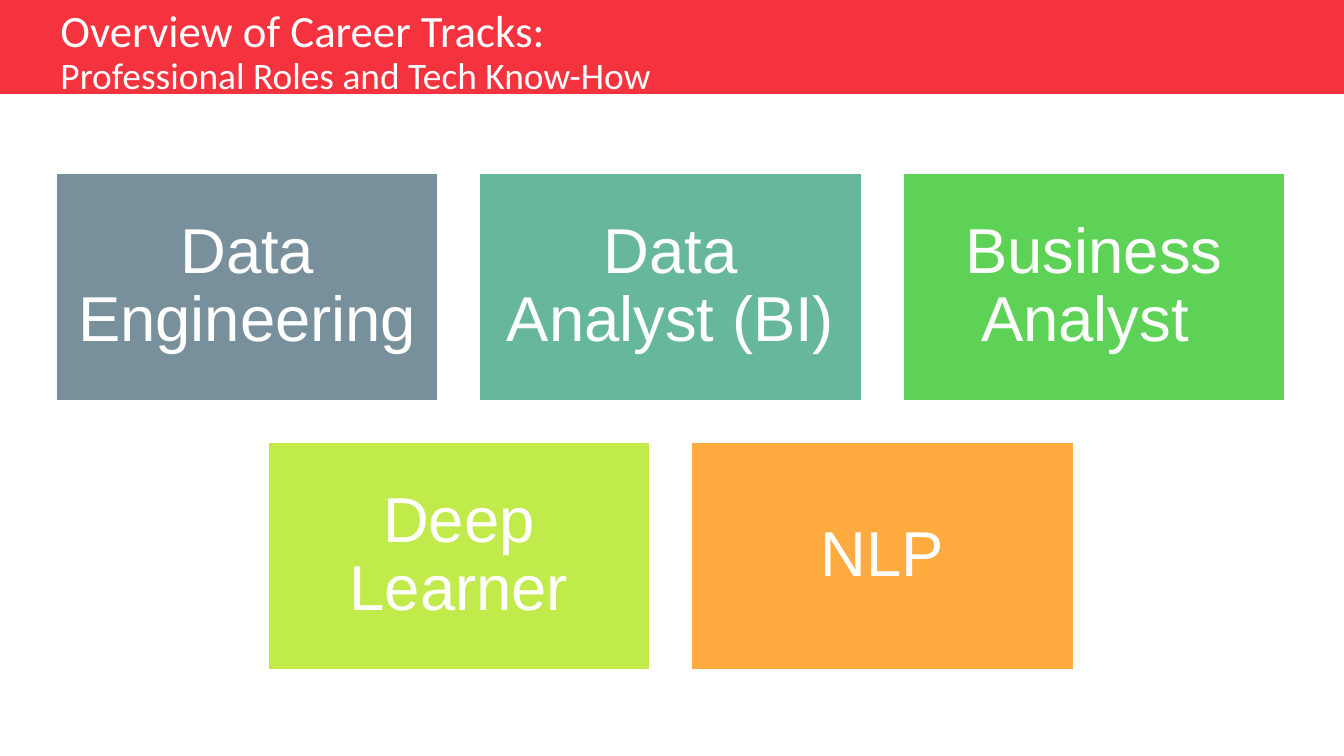
from copy import deepcopy
from dataclasses import dataclass

from pptx import Presentation
from pptx.dml.color import RGBColor
from pptx.enum.shapes import MSO_SHAPE as Shape
from pptx.enum.text import MSO_ANCHOR as Anchor, MSO_AUTO_SIZE as AutoSize, PP_ALIGN as Align
from pptx.oxml.ns import qn
from pptx.util import Inches, Pt

TITLE_ONLY = 5
TITLE_LINES = ("Overview of Career Tracks: ", "Professional Roles and Tech Know-How")


@dataclass(frozen=True)
class Theme:
    band: str = "F5333F"
    light: str = "FFFFFF"
    title_font: str = "Calibri"
    tile_font: str = "Arial"
    title_sizes: tuple = (24, 20)
    tile_sizes: tuple = (34,)
    line_spacing: float = 0.9


@dataclass(frozen=True)
class TileGrid:
    """Rows of equal tiles, each row centred on the same axis (inches)."""
    center: float = 4.99
    top: float = 1.28
    width: float = 2.86
    height: float = 1.71
    gap: float = 0.29

    def box(self, row, column, count):
        row_width = count * self.width + (count - 1) * self.gap
        left = self.center - row_width / 2 + column * (self.width + self.gap)
        top = self.top + row * (self.height + self.gap)
        return left, top, self.width, self.height


TRACK_ROWS = (
    (("Data Engineering", "78909C"), ("Data Analyst (BI)", "67B89B"),
     ("Business Analyst ", "5ED257")),
    (("Deep Learner", "C1EA4B"), ("NLP", "FFAB40")),
)


class SlideBuilder:
    def __init__(self, presentation, theme):
        self.theme = theme
        self.slide = presentation.slides.add_slide(presentation.slide_layouts[TITLE_ONLY])

    def style(self, paragraph, font_name, sizes, alignment):
        """Format a paragraph, with one size for each run."""
        paragraph.alignment = alignment
        paragraph.line_spacing = self.theme.line_spacing
        for run, size in zip(paragraph.runs, sizes):
            run.font.name = font_name
            run.font.size = Pt(size)
            run.font.color.rgb = RGBColor.from_string(self.theme.light)

    def rectangle(self, box, color):
        shape = self.slide.shapes.add_shape(Shape.RECTANGLE, *map(Inches, box))
        shape.shadow.inherit = False
        shape.fill.solid()
        shape.fill.fore_color.rgb = RGBColor.from_string(color)
        shape.line.fill.background()
        return shape

    def band(self, box):
        """Header strip, placed behind the title."""
        shape = self.rectangle(box, self.theme.band)
        self.slide.shapes.title._element.addprevious(shape._element)

    def title(self, lines, box):
        title = self.slide.shapes.title
        title.left, title.top, title.width, title.height = map(Inches, box)
        frame = title.text_frame
        frame.text = "\v".join(lines)
        frame.auto_size = AutoSize.NONE
        frame.vertical_anchor = Anchor.MIDDLE
        paragraph = frame.paragraphs[0]
        self.style(paragraph, self.theme.title_font, self.theme.title_sizes, Align.LEFT)
        # A line break has its own text size, so it takes that of the first line.
        line_break = paragraph._p.find(qn("a:br"))
        line_break.append(deepcopy(paragraph.runs[0]._r.rPr))

    def tile(self, text, color, box):
        shape = self.rectangle(box, color)
        shape.line.color.rgb = RGBColor.from_string(self.theme.light)
        shape.line.width = Pt(2)
        frame = shape.text_frame
        frame.text = text
        frame.word_wrap = True
        frame.vertical_anchor = Anchor.MIDDLE
        frame.margin_left = frame.margin_right = Inches(0.14)
        frame.margin_top = frame.margin_bottom = Inches(0.14)
        self.style(frame.paragraphs[0], self.theme.tile_font, self.theme.tile_sizes, Align.CENTER)


def main():
    presentation = Presentation()
    presentation.slide_width = Inches(10)
    presentation.slide_height = presentation.slide_width * 9 // 16

    builder = SlideBuilder(presentation, Theme())
    builder.band((0, 0, 10, 0.7))
    builder.title(TITLE_LINES, (0.35, 0.08, 7.88, 0.63))

    grid = TileGrid()
    for row, tracks in enumerate(TRACK_ROWS):
        for column, (name, color) in enumerate(tracks):
            builder.tile(name, color, grid.box(row, column, len(tracks)))

    presentation.save("out.pptx")


if __name__ == "__main__":
    main()
